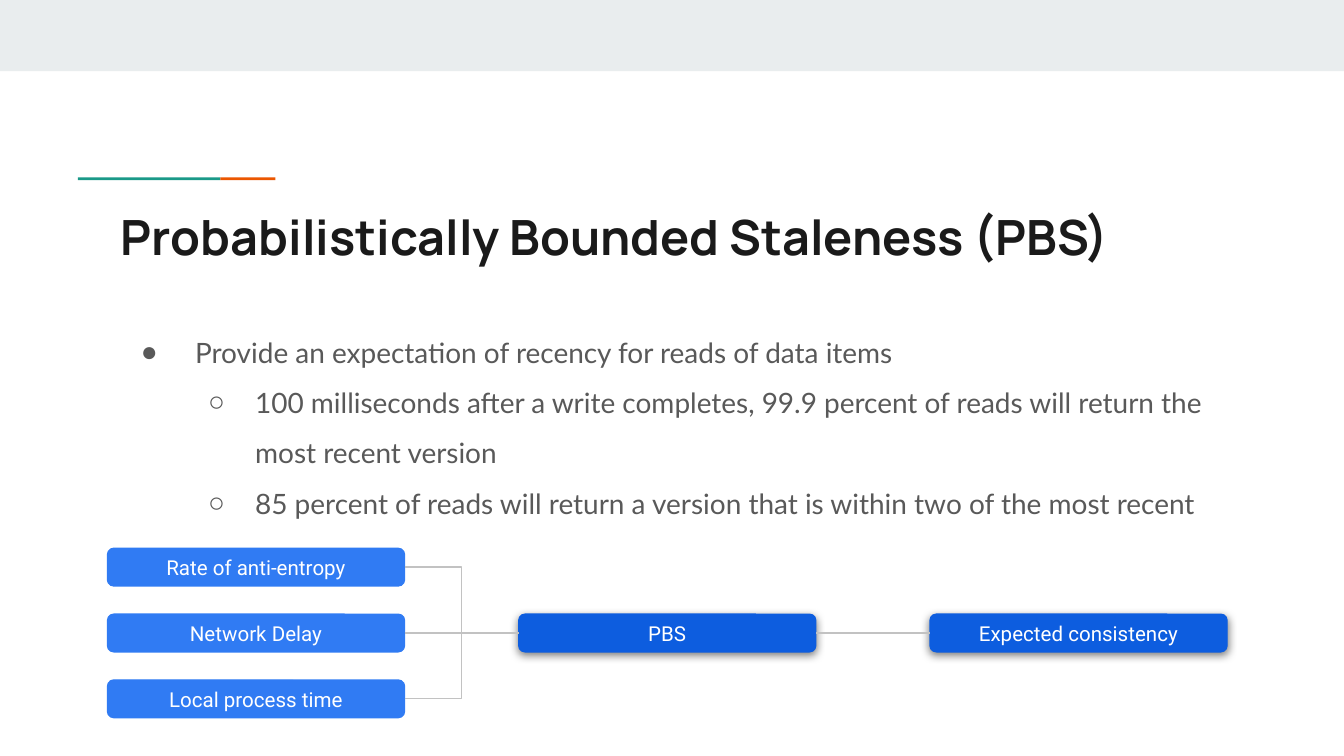
from lxml import etree
from pptx import Presentation
from pptx.dml.color import RGBColor
from pptx.enum.shapes import MSO_CONNECTOR as CONN, MSO_SHAPE as SHAPE
from pptx.enum.text import MSO_ANCHOR as ANCHOR, MSO_AUTO_SIZE as AUTOSIZE, PP_ALIGN as ALIGN
from pptx.oxml import parse_xml
from pptx.oxml.ns import nsdecls, qn
from pptx.util import Inches, Pt

COLORS = {
    "band": "E9EDEE", "teal": "1A9988", "orange": "EB5600",
    "title": "1A1A1A", "body": "595959", "white": "FFFFFF",
    "input": "307BF3", "result": "0D5DDF", "link": "C2C2C2",
}
BOX_W, BOX_H = 2.21, 0.28
INPUT_X, PBS_X, RESULT_X = 0.8, 3.86, 6.92
MIDDLE_Y, ROW_STEP = 4.57, 0.49
LEFT_SITE, RIGHT_SITE = 1, 3


def rgb(name):
    return RGBColor.from_string(COLORS[name])


def add_text(p, text, size=11, font="Roboto", color="white", bold=False, align=ALIGN.LEFT):
    p.alignment = align
    r = p.add_run()
    r.text = text
    r.font.size, r.font.name, r.font.bold = Pt(size), font, bold
    r.font.color.rgb = rgb(color)


def setup_frame(tf, anchor):
    tf.word_wrap = True
    tf.auto_size = AUTOSIZE.NONE
    tf.vertical_anchor = anchor
    tf.margin_left = tf.margin_right = tf.margin_top = tf.margin_bottom = Inches(0.1)


def add_bar(s, x, y, w, h, color):
    sp = s.shapes.add_shape(SHAPE.RECTANGLE, Inches(x), Inches(y), Inches(w), Inches(h))
    sp.fill.solid()
    sp.fill.fore_color.rgb = rgb(color)
    sp.line.fill.background()
    sp.shadow.inherit = False


def add_title(s, text):
    title = s.shapes.title
    title.left, title.top = Inches(0.8), Inches(1.44)
    title.width, title.height = Inches(8.41), Inches(0.59)
    setup_frame(title.text_frame, ANCHOR.TOP)
    add_text(title.text_frame.paragraphs[0], text, size=26, font="Manrope",
             color="title", bold=True)


def set_bullet(p, char, margin, hang=0.35):
    pPr = p._p.get_or_add_pPr()
    pPr.set("marL", str(Inches(margin)))
    pPr.set("indent", str(-Inches(hang)))
    clr = etree.SubElement(pPr, qn("a:buClr"))
    etree.SubElement(clr, qn("a:srgbClr"), val=COLORS["body"])
    etree.SubElement(pPr, qn("a:buFont"), typeface="Arial")
    etree.SubElement(pPr, qn("a:buChar"), char=char)


def add_bullets(s, items):
    box = s.shapes.add_textbox(Inches(0.8), Inches(2.27), Inches(8.41), Inches(2.47))
    tf = box.text_frame
    setup_frame(tf, ANCHOR.TOP)
    styles = [("●", 0.5), ("○", 1)]
    for i, (level, text) in enumerate(items):
        p = tf.add_paragraph() if i else tf.paragraphs[0]
        p.level = level
        p.line_spacing = 1.5
        add_text(p, text, size=15, font="Lato", color="body")
        set_bullet(p, *styles[level])


def add_shadow(sp):
    sp._element.spPr.append(parse_xml(
        f'<a:effectLst {nsdecls("a")}>'
        f'<a:outerShdw blurRad="{Pt(4.5)}" dist="{Pt(1.5)}" dir="5400000" algn="bl" rotWithShape="0">'
        '<a:srgbClr val="000000"><a:alpha val="50000"/></a:srgbClr>'
        '</a:outerShdw></a:effectLst>'))


def add_box(s, x, y, text, color, shadow=False):
    sp = s.shapes.add_shape(SHAPE.ROUNDED_RECTANGLE, Inches(x), Inches(y),
                            Inches(BOX_W), Inches(BOX_H))
    sp.adjustments[0] = 0.167
    sp.fill.solid()
    sp.fill.fore_color.rgb = sp.line.color.rgb = rgb(color)
    sp.line.width = Pt(0.75)
    if shadow:
        add_shadow(sp)
    else:
        sp.shadow.inherit = False
    setup_frame(sp.text_frame, ANCHOR.MIDDLE)
    add_text(sp.text_frame.paragraphs[0], text, align=ALIGN.CENTER)
    return sp


def link(s, source, target):
    cx = s.shapes.add_connector(CONN.ELBOW, 0, 0, 0, 0)
    cx.begin_connect(source, RIGHT_SITE)
    cx.end_connect(target, LEFT_SITE)
    cx.line.color.rgb = rgb("link")
    cx.line.width = Pt(0.75)
    etree.SubElement(cx._element.spPr, qn("a:effectLst"))


def main():
    prs = Presentation()
    # Widescreen, 16:9
    prs.slide_width = Inches(10)
    prs.slide_height = prs.slide_width * 9 // 16
    s = prs.slides.add_slide(prs.slide_layouts[5])

    # Top band and two-colour accent
    add_bar(s, 0, 0, 10, 0.53, "band")
    add_bar(s, 0.58, 1.32, 1.06, 0.02, "teal")
    add_bar(s, 1.64, 1.32, 0.41, 0.02, "orange")

    # Title and bullets
    add_title(s, "Probabilistically Bounded Staleness (PBS)")
    add_bullets(s, [
        (0, " Provide an expectation of recency for reads of data items"),
        (1, "100 milliseconds after a write completes, 99.9 percent of reads "
            "will return the most recent version"),
        (1, "85 percent of reads will return a version that is within two of the most recent"),
    ])

    # Flow: three inputs, model, result
    pbs = add_box(s, PBS_X, MIDDLE_Y, "PBS", "result", shadow=True)
    inputs = ["Rate of anti-entropy", "Network Delay", "Local process time"]
    for row, text in enumerate(inputs, start=-1):
        link(s, add_box(s, INPUT_X, MIDDLE_Y + row * ROW_STEP, text, "input"), pbs)
    result = add_box(s, RESULT_X, MIDDLE_Y, "Expected consistency", "result", shadow=True)
    link(s, pbs, result)

    prs.save("out.pptx")


main()
